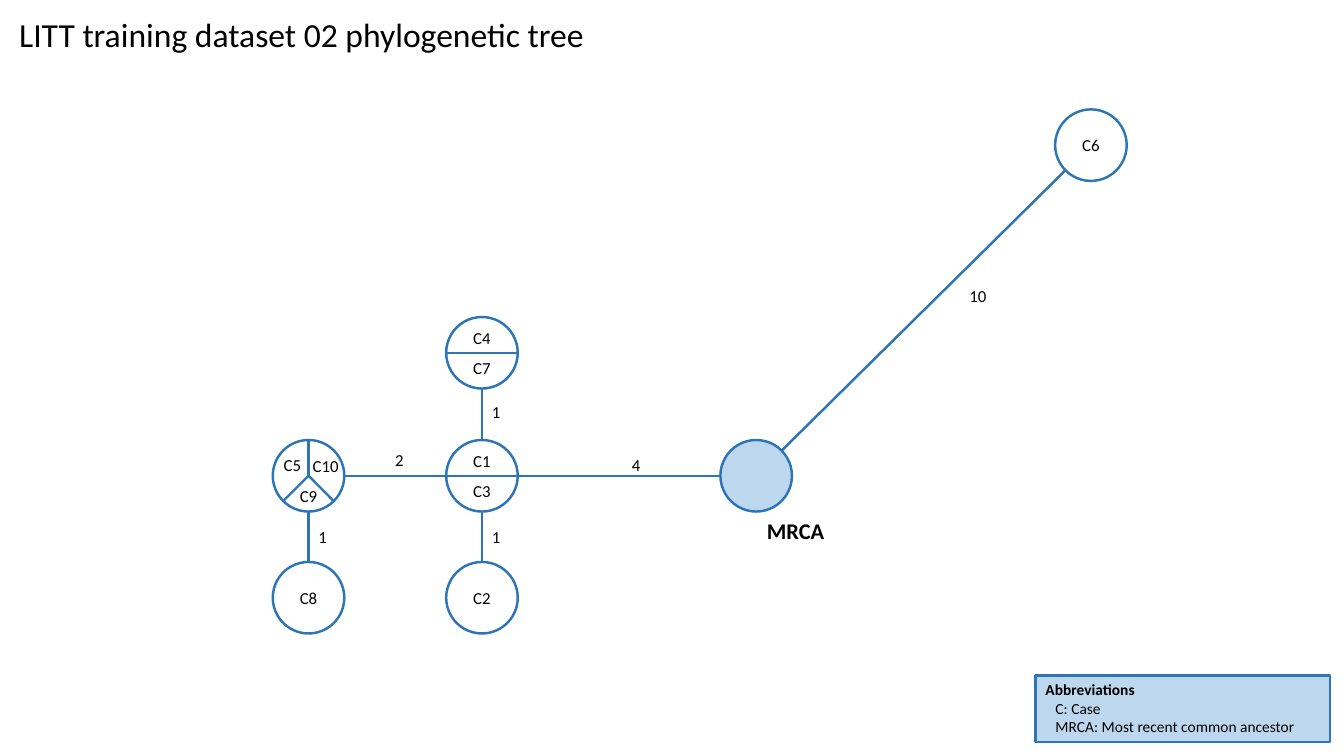
import math
from dataclasses import dataclass

from lxml import etree
from pptx import Presentation
from pptx import util as u
from pptx.dml.color import RGBColor
from pptx.enum import shapes, text
from pptx.oxml.ns import qn

COLORS = {"outline": "2E75B6", "tint": "BDD7EE", "ink": "000000"}
FONT = "Calibri"
LINE_WIDTH = 1.75
RADIUS = 0.355
LABEL_HEIGHT = 0.3

# Grid lines through the node centres, in inches
COLUMNS = [3.06, 4.78, 7.5, 10.82]
ROWS = [1.44, 3.5, 4.72, 5.93]

# Offsets of case labels from the node centre, by number of cases sharing it
LABEL_OFFSETS = {
    0: [],
    1: [(0, 0)],
    2: [(0, -0.15), (0, 0.15)],
    3: [(-0.16, -0.11), (0.17, -0.1), (0, 0.2)],
}
# Angles of the dividing radii, clockwise from the right
DIVIDER_ANGLES = {0: [], 1: [], 2: [0, 180], 3: [-90, 45, 135]}


@dataclass(frozen=True)
class Node:
    column: int
    row: int
    cases: tuple[str, ...] = ()

    @property
    def center(self) -> tuple[float, float]:
        return COLUMNS[self.column], ROWS[self.row]

    def rim(self, angle: float) -> tuple[float, float]:
        x, y = self.center
        return x + RADIUS * math.cos(angle), y + RADIUS * math.sin(angle)


@dataclass(frozen=True)
class Branch:
    start: Node
    end: Node
    distance: int
    label_shift: tuple[float, float]


ancestor = Node(2, 2)
c6 = Node(3, 0, ("C6",))
c4_c7 = Node(1, 1, ("C4", "C7"))
c1_c3 = Node(1, 2, ("C1", "C3"))
c2 = Node(1, 3, ("C2",))
c5_c10_c9 = Node(0, 2, ("C5", "C10", "C9"))
c8 = Node(0, 3, ("C8",))
NODES = [ancestor, c6, c4_c7, c1_c3, c2, c5_c10_c9, c8]

BRANCHES = [
    Branch(c1_c3, ancestor, 4, (0.17, -0.11)),
    Branch(ancestor, c6, 10, (0.54, -0.14)),
    Branch(c1_c3, c5_c10_c9, 2, (0.04, -0.16)),
    Branch(c1_c3, c4_c7, 1, (0.14, -0.02)),
    Branch(c1_c3, c2, 1, (0.14, 0)),
    Branch(c5_c10_c9, c8, 1, (0.14, 0)),
]

deck = Presentation()
deck.slide_width, deck.slide_height = u.Inches(13.33), u.Inches(7.5)
slide = deck.slides.add_slide(deck.slide_layouts[5])


def color(name: str) -> RGBColor:
    return RGBColor.from_string(COLORS[name])


def style_paragraph(paragraph, size: float, bold: bool = False,
                    align=text.PP_ALIGN.LEFT) -> None:
    paragraph.alignment = align
    font = paragraph.font
    font.name, font.size, font.bold = FONT, u.Pt(size), bold
    font.color.rgb = color("ink")


def add_outlined(kind, left: float, top: float, width: float, height: float,
                 filled: bool = False):
    shape = slide.shapes.add_shape(kind, *map(u.Inches, (left, top, width, height)))
    shape.shadow.inherit = False
    if filled:
        shape.fill.solid()
        shape.fill.fore_color.rgb = color("tint")
    else:
        shape.fill.background()
    shape.line.color.rgb = color("outline")
    shape.line.width = u.Pt(LINE_WIDTH)
    return shape


def add_line(start: tuple[float, float], end: tuple[float, float]) -> None:
    line = slide.shapes.add_connector(
        shapes.MSO_CONNECTOR.STRAIGHT, *map(u.Inches, (*start, *end)))
    line.line.color.rgb = color("outline")
    line.line.width = u.Pt(LINE_WIDTH)
    etree.SubElement(line._element.spPr, qn("a:effectLst"))


def add_label(words: str, x: float, y: float, width: float,
              height: float = LABEL_HEIGHT, size: float = 12, bold: bool = False) -> None:
    box = slide.shapes.add_textbox(
        *map(u.Inches, (x - width / 2, y - height / 2, width, height)))
    frame = box.text_frame
    frame.word_wrap = False
    frame.auto_size = text.MSO_AUTO_SIZE.SHAPE_TO_FIT_TEXT
    frame.text = words
    style_paragraph(frame.paragraphs[0], size, bold, text.PP_ALIGN.CENTER)


def draw_node(node: Node) -> None:
    x, y = node.center
    add_outlined(shapes.MSO_SHAPE.OVAL, x - RADIUS, y - RADIUS,
                 2 * RADIUS, 2 * RADIUS, filled=not node.cases)
    for angle in DIVIDER_ANGLES[len(node.cases)]:
        add_line(node.center, node.rim(math.radians(angle)))
    for case, (dx, dy) in zip(node.cases, LABEL_OFFSETS[len(node.cases)]):
        add_label(case, x + dx, y + dy, 0.22 + 0.08 * len(case))


def draw_branch(branch: Branch) -> None:
    (x1, y1), (x2, y2) = branch.start.center, branch.end.center
    angle = math.atan2(y2 - y1, x2 - x1)
    add_line(branch.start.rim(angle), branch.end.rim(angle + math.pi))
    dx, dy = branch.label_shift
    distance = str(branch.distance)
    add_label(distance, (x1 + x2) / 2 + dx, (y1 + y2) / 2 + dy,
              0.21 + 0.08 * len(distance))


# Title
title = slide.shapes.title
title.left, title.top, title.width, title.height = map(u.Inches, (0.09, 0.09, 5.86, 0.5))
title.text_frame.text = "LITT training dataset 02 phylogenetic tree"
title.text_frame.word_wrap = False
title.text_frame.vertical_anchor = text.MSO_ANCHOR.TOP
title.text_frame.auto_size = text.MSO_AUTO_SIZE.SHAPE_TO_FIT_TEXT
style_paragraph(title.text_frame.paragraphs[0], 24)

# Tree
for branch in BRANCHES:
    draw_branch(branch)
for node in NODES:
    draw_node(node)
add_label("MRCA", 7.89, 5.27, 0.78, 0.37, size=16, bold=True)

# Abbreviations
legend = add_outlined(shapes.MSO_SHAPE.RECTANGLE, 10.27, 6.7, 2.92, 0.66, filled=True)
legend_frame = legend.text_frame
legend_frame.word_wrap = True
legend_frame.auto_size = text.MSO_AUTO_SIZE.SHAPE_TO_FIT_TEXT
legend_frame.vertical_anchor = text.MSO_ANCHOR.TOP
legend_frame.text = "Abbreviations\nC: Case\nMRCA: Most recent common ancestor"
heading, *entries = legend_frame.paragraphs
style_paragraph(heading, 11, bold=True)
for entry in entries:
    style_paragraph(entry, 11)
    entry._p.get_or_add_pPr().set("marL", str(u.Inches(0.1)))

deck.save("out.pptx")
